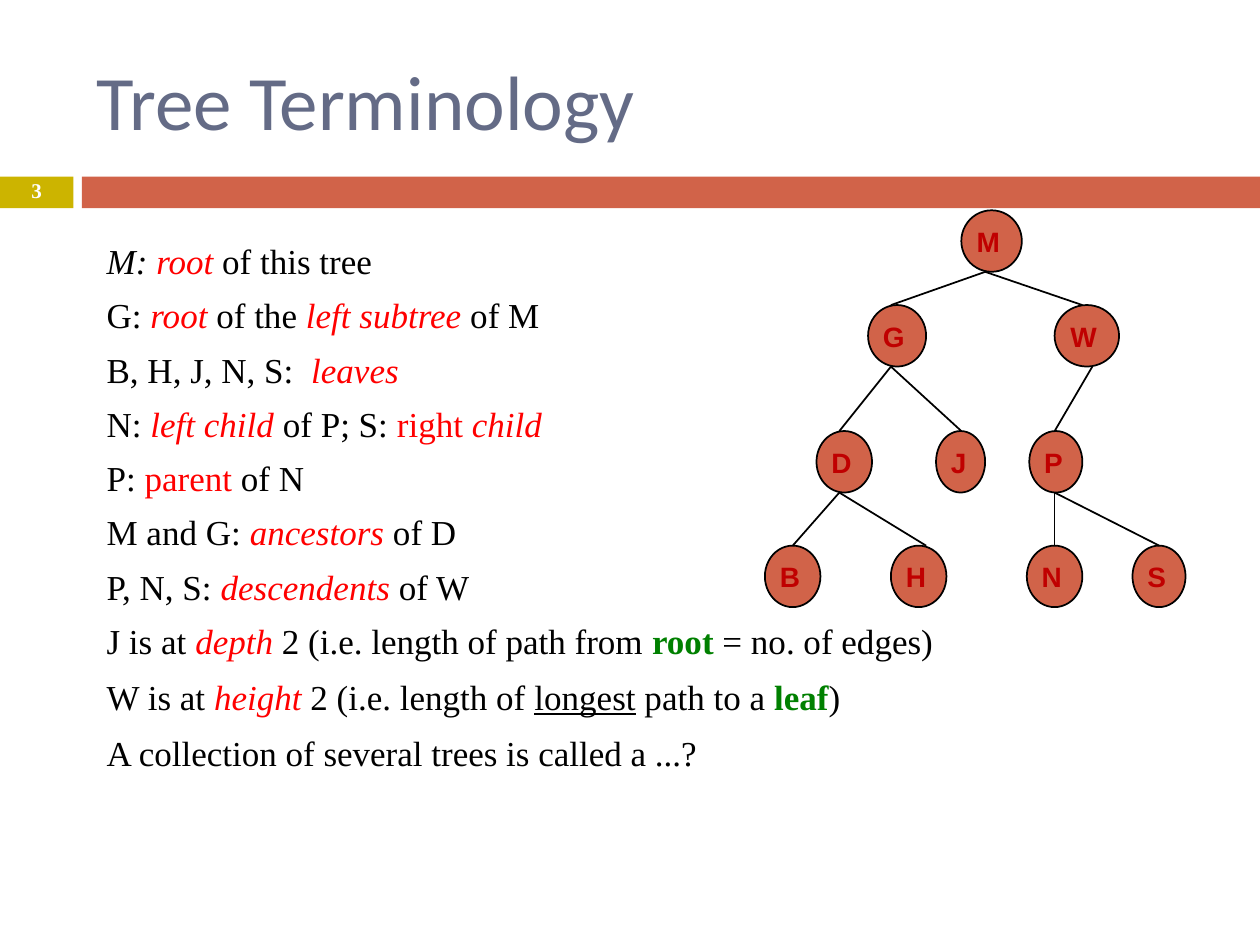
from lxml import etree
from pptx import Presentation
from pptx.dml.color import RGBColor
from pptx.enum.shapes import MSO_CONNECTOR, MSO_SHAPE
from pptx.enum.text import MSO_ANCHOR, MSO_AUTO_SIZE, PP_ALIGN
from pptx.oxml.ns import qn
from pptx.util import Cm, Pt

COLORS = {
    "bar": "D16349", "tab": "CCB400", "title": "646B86", "label": "C00000",
    "text": "000000", "term": "FF0000", "key": "008000", "white": "FFFFFF",
}
# Font formats: every entry but the colour is set directly on the font
FORMATS = {
    "title": dict(name="Calibri", size=Pt(44), color="title"),
    "number": dict(name="Times New Roman", size=Pt(12), bold=True, color="white"),
    "label": dict(name="Arial", size=Pt(16), bold=True, color="label"),
    "text": dict(name="Times New Roman", size=Pt(20), color="text"),
}
FORMATS["italic"] = {**FORMATS["text"], "italic": True}
FORMATS["underlined"] = {**FORMATS["text"], "underline": True}
FORMATS["red"] = {**FORMATS["text"], "color": "term"}
FORMATS["term"] = {**FORMATS["red"], "italic": True}
FORMATS["key"] = {**FORMATS["text"], "bold": True, "color": "key"}

TEXT_INSETS = (0.25, 0.13, 0.36, 0.13)
LABEL_INSETS = (0.1, 0.1, 0.23, 0.1)

# Each definition is a list of runs: plain text, or (text, format)
DEFINITIONS = [
    [("M: ", "italic"), ("root", "term"), " of this tree"],
    ["G: ", ("root", "term"), " of the ", ("left subtree", "term"), " of M"],
    ["B, H, J, N, S:  ", ("leaves", "term")],
    ["N: ", ("left child", "term"), " of P; S: ", ("right", "red"), (" child", "term")],
    ["P: ", ("parent", "red"), " of N"],
    ["M and G: ", ("ancestors", "term"), " of D"],
    ["P, N, S: ", ("descendents", "term"), " of W"],
    ["J is at ", ("depth", "term"), " 2 (i.e. length of path from ",
     ("root", "key"), " = no. of edges)"],
    ["W is at ", ("height", "term"), " 2 (i.e. length of ", ("longest", "underlined"),
     " path to a ", ("leaf", "key"), ")"],
    ["A collection of several trees is called a ...?"],
]
DEFINITION_GAPS = [7] * 8 + [8] * 2

# Tree: top of each level; node -> (level, left, width, edge in x, edge out x)
LEVEL_TOPS = [4.24, 6.15, 8.69, 11.0]
NODE_HEIGHT = 1.24
NODES = {
    "M": (0, 19.38, 1.22, None, 19.86),
    "G": (1, 17.5, 1.17, 17.96, 17.96),
    "W": (1, 21.26, 1.3, 21.82, 22.02),
    "P": (2, 20.75, 1.07, 21.26, 21.26),
    "J": (2, 18.87, 0.99, 19.38, None),
    "D": (2, 16.46, 1.12, 16.92, 16.92),
    "N": (3, 20.7, 1.12, 21.26, None),
    "H": (3, 17.96, 1.12, 18.67, None),
    "B": (3, 15.42, 1.12, 15.98, None),
    "S": (3, 22.83, 1.07, 23.37, None),
}
EDGES = ["MG", "MW", "GD", "GJ", "WP", "DB", "DH", "PN", "PS"]


class SlideBuilder:
    def __init__(self, slide, colors, formats):
        self.slide, self.colors, self.formats = slide, colors, formats

    def color(self, key):
        return RGBColor.from_string(self.colors[key])

    def shape(self, kind, box, fill, line=None, parent=None):
        drawn = (parent or self.slide).shapes.add_shape(kind, *map(Cm, box))
        drawn.shadow.inherit = False
        drawn.fill.solid()
        drawn.fill.fore_color.rgb = self.color(fill)
        if line:
            drawn.line.color.rgb = self.color(line)
            drawn.line.width = Pt(1)
        else:
            drawn.line.fill.background()

    def text(self, box, lines, style, insets=TEXT_INSETS, gaps=None, parent=None,
             paragraph_format=None, **frame_format):
        frame = (parent or self.slide).shapes.add_textbox(*map(Cm, box)).text_frame
        sides = ("margin_left", "margin_top", "margin_right", "margin_bottom")
        settings = {"word_wrap": True, **dict(zip(sides, map(Cm, insets))), **frame_format}
        for attribute, value in settings.items():
            setattr(frame, attribute, value)
        for index, runs in enumerate(lines):
            paragraph = frame.add_paragraph() if index else frame.paragraphs[0]
            for attribute, value in (paragraph_format or {}).items():
                setattr(paragraph, attribute, value)
            if gaps:
                paragraph.space_before = Pt(gaps[index])
            for part in runs:
                words, name = (part, style) if isinstance(part, str) else part
                self.run(paragraph, words, name)

    def run(self, paragraph, words, name):
        run = paragraph.add_run()
        run.text = words
        for attribute, value in self.formats[name].items():
            if attribute == "color":
                run.font.color.rgb = self.color(value)
            else:
                setattr(run.font, attribute, value)

    def node(self, letter, level, left, width):
        top = LEVEL_TOPS[level]
        group = self.slide.shapes.add_group_shape()
        self.shape(MSO_SHAPE.OVAL, (left, top, width, NODE_HEIGHT), "bar", "text", group)
        self.text((left + 0.2, top + 0.18, width - 0.4, 0.89), [[letter]], "label",
                  LABEL_INSETS, gaps=[9], parent=group,
                  paragraph_format={"alignment": PP_ALIGN.CENTER}, word_wrap=False,
                  auto_size=MSO_AUTO_SIZE.SHAPE_TO_FIT_TEXT,
                  vertical_anchor=MSO_ANCHOR.MIDDLE)

    def edge(self, start, end):
        line = self.slide.shapes.add_connector(
            MSO_CONNECTOR.STRAIGHT, *map(Cm, (*start, *end)))
        line.line.color.rgb = self.color("text")
        line.line.width = Pt(1)
        etree.SubElement(line._element.spPr, qn("a:effectLst"))


def main():
    presentation = Presentation()
    presentation.slide_width, presentation.slide_height = Cm(25.4), Cm(19.05)
    slide = presentation.slides.add_slide(presentation.slide_layouts[6])
    builder = SlideBuilder(slide, COLORS, FORMATS)

    # Header band, title and slide number
    builder.shape(MSO_SHAPE.RECTANGLE, (0, 3.56, 1.48, 0.64), "tab")
    builder.shape(MSO_SHAPE.RECTANGLE, (1.65, 3.56, 23.75, 0.64), "bar")
    builder.text((1.7, 0.64, 22.66, 2.74), [["Tree Terminology"]], "title",
                 vertical_anchor=MSO_ANCHOR.MIDDLE)
    builder.text((0, 3.53, 1.48, 0.69), [["3"]], "number", (0.25, 0.13, 0.25, 0.13),
                 paragraph_format={"alignment": PP_ALIGN.CENTER, "line_spacing": 0.8},
                 vertical_anchor=MSO_ANCHOR.MIDDLE)

    # Definitions
    builder.text((1.9, 4.7, 21.16, 13.49), DEFINITIONS, "text", gaps=DEFINITION_GAPS)

    # Tree nodes, then the edges from parent bottom to child top
    for letter, (level, left, width, _, _) in NODES.items():
        builder.node(letter, level, left, width)
    for parent, child in EDGES:
        parent_level, *_, exit_x = NODES[parent]
        child_level, _, _, entry_x, _ = NODES[child]
        builder.edge((exit_x, LEVEL_TOPS[parent_level] + NODE_HEIGHT),
                     (entry_x, LEVEL_TOPS[child_level]))

    presentation.save("out.pptx")


if __name__ == "__main__":
    main()
